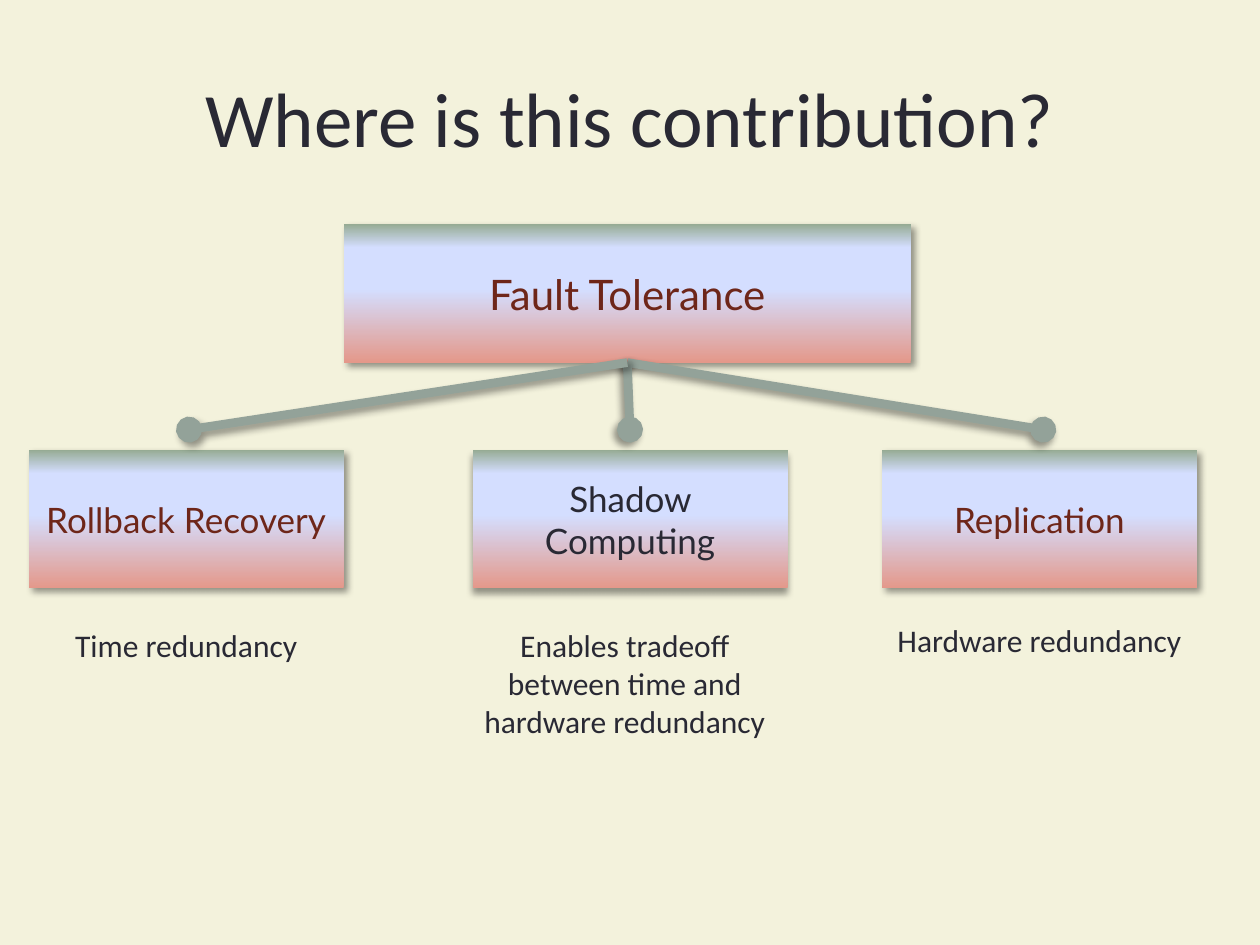
"""Build the slide that places shadow computing among fault tolerance methods."""
from lxml import etree
from pptx import Presentation
from pptx.dml.color import RGBColor
from pptx.enum.shapes import MSO_CONNECTOR, MSO_SHAPE
from pptx.enum.text import MSO_ANCHOR, MSO_AUTO_SIZE, PP_ALIGN
from pptx.oxml import parse_xml
from pptx.oxml.ns import nsdecls, qn
from pptx.util import Cm, Pt

RECTANGLE = MSO_SHAPE.RECTANGLE
STRAIGHT = MSO_CONNECTOR.STRAIGHT
MIDDLE = MSO_ANCHOR.MIDDLE
TOP = MSO_ANCHOR.TOP
CENTER = PP_ALIGN.CENTER
GROW = MSO_AUTO_SIZE.SHAPE_TO_FIT_TEXT

CREAM = RGBColor(0xF3, 0xF2, 0xDC)
INK = RGBColor(0x29, 0x29, 0x34)
RUST = RGBColor(0x6E, 0x26, 0x19)
SAGE = RGBColor(0x93, 0xA2, 0x99)
CORAL = RGBColor(0xE4, 0x98, 0x8A)
SKY = RGBColor(0xD4, 0xDE, 0xFF)
MOSS = RGBColor(0x96, 0xAB, 0x94)
GRADIENT = [(0, CORAL), (53, SKY), (83, SKY), (100, MOSS)]


def add_shadow(item, angle):
    item._element.spPr.append(parse_xml(
        f'<a:effectLst {nsdecls("a")}><a:outerShdw blurRad="{Pt(4)}" dist="{Pt(3)}" '
        f'dir="{angle * 60000}" algn="tl" rotWithShape="0"><a:srgbClr val="000000">'
        '<a:alpha val="40000"/></a:srgbClr></a:outerShdw></a:effectLst>'))


def write(item, text, size, font, color, anchor):
    frame = item.text_frame
    frame.text = text
    frame.word_wrap = True
    frame.vertical_anchor = anchor
    paragraph = frame.paragraphs[0]
    paragraph.alignment = CENTER
    run_font = paragraph.runs[0].font
    run_font.size = Pt(size)
    run_font.name = font
    run_font.color.rgb = color


presentation = Presentation()
presentation.slide_width = Cm(25.4)
presentation.slide_height = Cm(19.05)
slide = presentation.slides.add_slide(presentation.slide_layouts[6])
slide.background.fill.solid()
slide.background.fill.fore_color.rgb = CREAM

title = slide.shapes.add_textbox(Cm(1.27), Cm(0.76), Cm(22.86), Cm(3.18))
write(title, "Where is this contribution?", 44, "Calibri", INK, MIDDLE)

topics = [
    ("Fault Tolerance", 6.93, 4.52, 11.43, 24, RUST, 45),
    ("Rollback Recovery", 0.58, 9.07, 6.35, 20, RUST, 45),
    ("Replication", 17.78, 9.07, 6.35, 20, RUST, 45),
    ("Shadow Computing", 9.53, 9.07, 6.35, 20, INK, 90),
]
boxes = []
for text, left, top, width, size, color, angle in topics:
    box = slide.shapes.add_shape(RECTANGLE, Cm(left), Cm(top), Cm(width), Cm(2.79))
    box.fill.gradient()
    gradient = box._element.spPr.find(qn("a:gradFill"))
    stops = gradient.find(qn("a:gsLst"))
    for stop in list(stops):
        stops.remove(stop)
    for position, shade in GRADIENT:
        stop = etree.SubElement(stops, qn("a:gs"), pos=str(position * 1000))
        etree.SubElement(stop, qn("a:srgbClr"), val=str(shade))
    gradient.find(qn("a:lin")).set("ang", str(270 * 60000))
    box.line.fill.background()
    add_shadow(box, angle)
    write(box, text, size, "Lato", color, MIDDLE)
    boxes.append(box)

root = boxes[0]
for branch_x, angle in [(21.03, 135), (12.7, 135), (3.81, 45)]:
    branch = slide.shapes.add_connector(STRAIGHT, Cm(12.65), Cm(7.31), Cm(branch_x), Cm(8.66))
    branch.begin_connect(root, 2)
    branch.line.color.rgb = SAGE
    branch.line.width = Pt(5)
    etree.SubElement(branch.line._get_or_add_ln(), qn("a:tailEnd"), type="oval")
    add_shadow(branch, angle)

captions = [
    ("Time redundancy", 0.58, 12.5, 1.8),
    ("Hardware redundancy", 17.78, 12.4, 1.8),
    ("Enables tradeoff between time and hardware redundancy", 9.42, 12.5, 2.57),
]
for text, left, top, height in captions:
    caption = slide.shapes.add_textbox(Cm(left), Cm(top), Cm(6.35), Cm(height))
    write(caption, text, 18, "Calibri", INK, TOP)
    caption.text_frame.auto_size = GROW

presentation.save("out.pptx")
